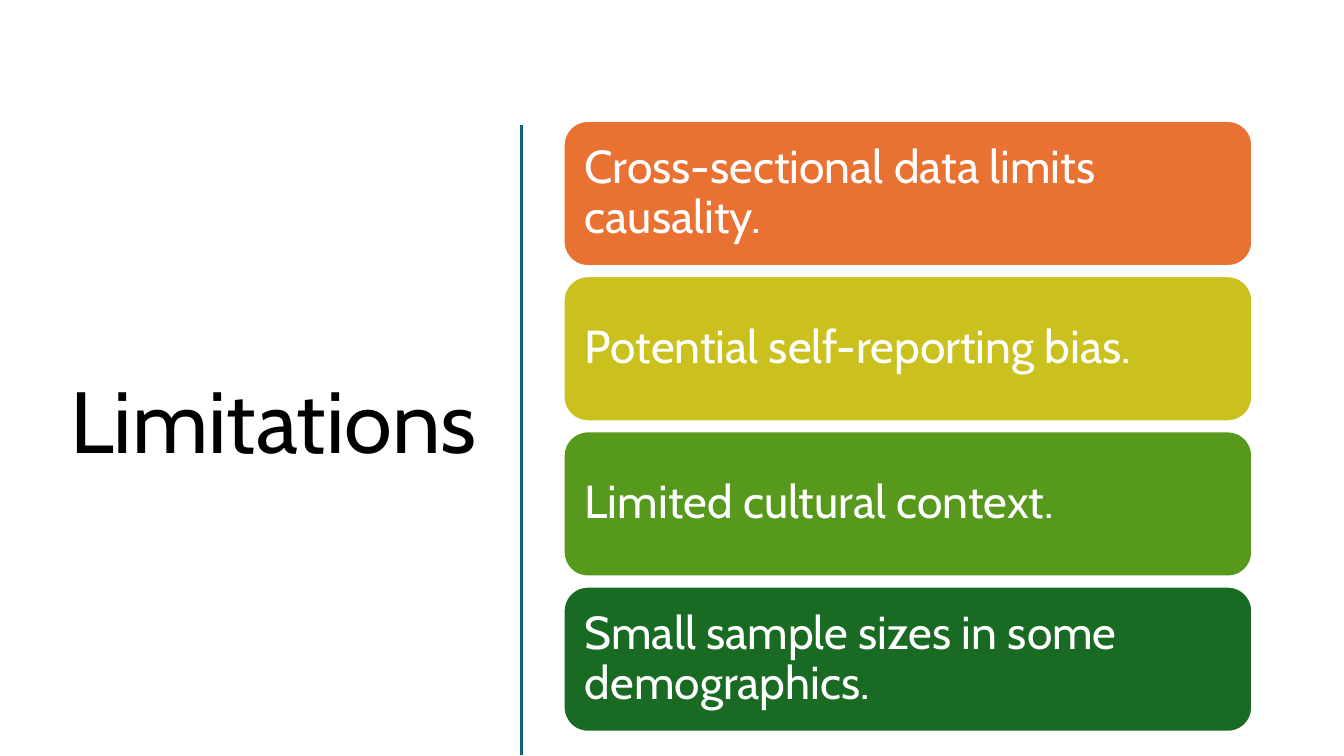
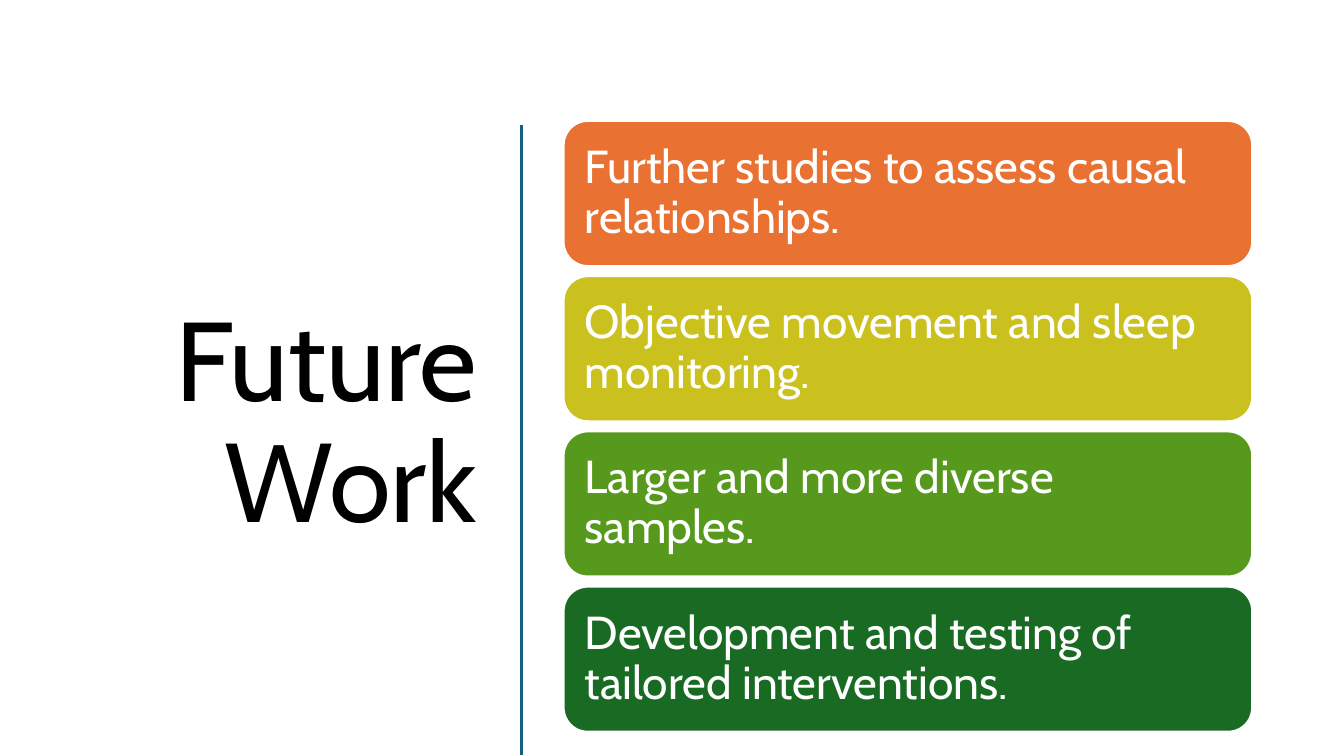
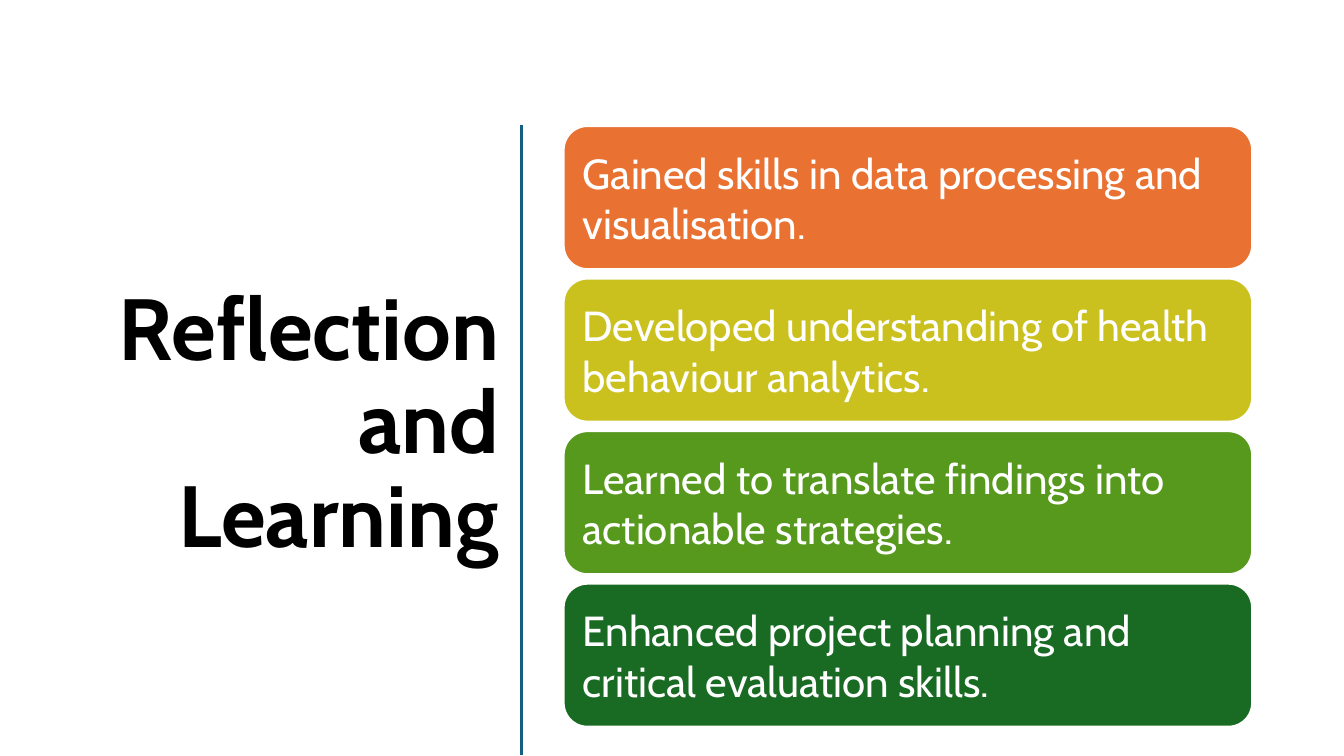
"""Build three slides, each with a side title and a stack of coloured cards."""
import dataclasses

import pptx
import pptx.dml.color
import pptx.enum.shapes
import pptx.enum.text
import pptx.oxml.ns
import pptx.util
from lxml import etree

Inches = pptx.util.Inches
Pt = pptx.util.Pt


@dataclasses.dataclass(frozen=True)
class Theme:
    font: str = "Cabin"
    ink: str = "000000"
    paper: str = "FFFFFF"
    rule: str = "156082"
    cards: tuple = ("E97132", "CBC11E", "56991D", "196B24")
    large: int = 80
    head: int = 62
    body: int = 33
    small: int = 30


@dataclasses.dataclass(frozen=True)
class Stack:
    top: float
    end: float
    height: float
    inset: float
    size: int
    lead: float


THEME = Theme()
LOOSE = Stack(1.2, 7.26, 1.44, 0.14, THEME.body, 0.9)
TIGHT = Stack(1.25, 7.21, 1.42, 0.12, THEME.small, 1.0)


def color(code):
    return pptx.dml.color.RGBColor.from_string(code)


def write(frame, text, size, ink, align, lead, bold=False):
    frame.word_wrap = True
    frame.vertical_anchor = pptx.enum.text.MSO_ANCHOR.MIDDLE
    para = frame.paragraphs[0]
    para.alignment = align
    para.line_spacing = lead
    run = para.add_run()
    run.text = text
    run.font.name = THEME.font
    run.font.size = Pt(size)
    run.font.bold = bold
    run.font.color.rgb = color(ink)


def add_title(slide, text, size, left, width, bold):
    box = slide.shapes.add_textbox(
        Inches(left), Inches(1.17), Inches(width), Inches(6.11))
    write(box.text_frame, text, size, THEME.ink,
          pptx.enum.text.PP_ALIGN.RIGHT, 0.9, bold)


def add_rule(slide):
    x = Inches(5.17)
    line = slide.shapes.add_connector(
        pptx.enum.shapes.MSO_CONNECTOR.STRAIGHT, x, Inches(1.24), x, Inches(7.49))
    line.line.color.rgb = color(THEME.rule)
    line.line.width = Pt(2)
    etree.SubElement(line._element.spPr, pptx.oxml.ns.qn("a:effectLst"))


def add_card(slide, text, fill, top, stack):
    card = slide.shapes.add_shape(
        pptx.enum.shapes.MSO_SHAPE.ROUNDED_RECTANGLE,
        Inches(5.59), Inches(top), Inches(6.83), Inches(stack.height))
    card.shadow.inherit = False
    card.fill.solid()
    card.fill.fore_color.rgb = color(fill)
    card.line.color.rgb = color(THEME.paper)
    card.line.width = Pt(1.5)
    frame = card.text_frame
    frame.margin_left = frame.margin_right = Inches(stack.inset)
    frame.margin_top = frame.margin_bottom = Inches(stack.inset)
    write(frame, text, stack.size, THEME.paper,
          pptx.enum.text.PP_ALIGN.LEFT, stack.lead)


def add_stack(slide, texts, stack):
    step = (stack.end - stack.top - stack.height) / (len(texts) - 1)
    for i, (text, fill) in enumerate(zip(texts, THEME.cards)):
        add_card(slide, text, fill, stack.top + i * step, stack)


def add_page(deck, title, size, texts, stack=LOOSE, left=0.52, width=4.31,
             bold=False):
    slide = deck.slides.add_slide(deck.slide_layouts[6])
    add_title(slide, title, size, left, width, bold)
    add_rule(slide)
    add_stack(slide, texts, stack)


def main():
    deck = pptx.Presentation()
    deck.slide_width = Inches(13.33)
    deck.slide_height = Inches(7.5)
    add_page(deck, "Limitations", THEME.head, (
        "Cross-sectional data limits causality.",
        "Potential self-reporting bias.",
        "Limited cultural context.",
        "Small sample sizes in some demographics."))
    add_page(deck, "Future Work", THEME.large, (
        "Further studies to assess causal relationships.",
        "Objective movement and sleep monitoring.",
        "Larger and more diverse samples.",
        "Development and testing of tailored interventions."))
    add_page(deck, "Reflection and Learning", THEME.head, (
        "Gained skills in data processing and visualisation.",
        "Developed understanding of health behaviour analytics.",
        "Learned to translate findings into actionable strategies.",
        "Enhanced project planning and critical evaluation skills."),
        stack=TIGHT, left=0.77, width=4.28, bold=True)
    deck.save("out.pptx")


if __name__ == "__main__":
    main()
